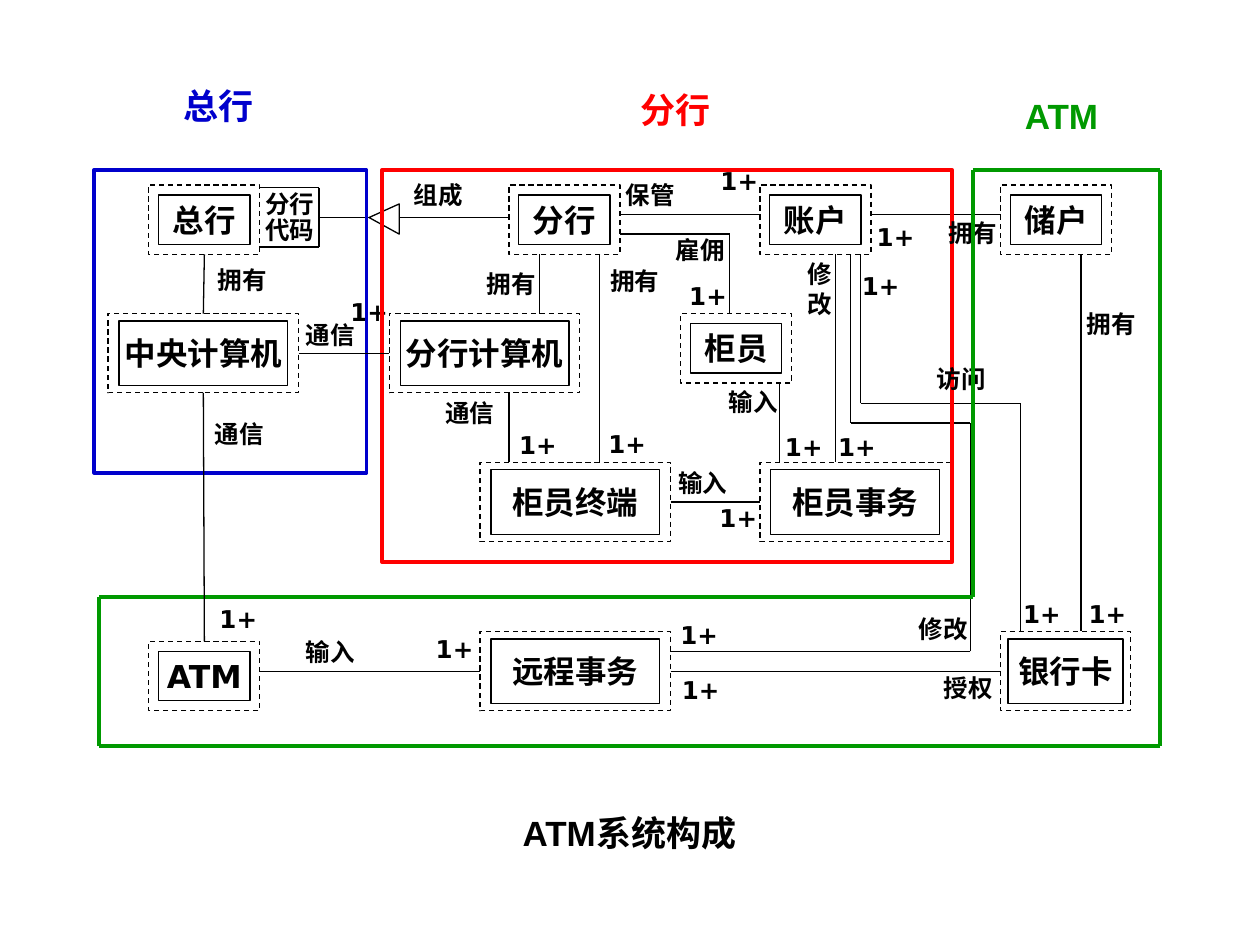
import itertools

import pptx
import pptx.dml.color
import pptx.enum.dml
import pptx.enum.shapes
import pptx.enum.text
import pptx.oxml
import pptx.oxml.ns
import pptx.util
from pptx.util import Cm

BLACK, BLUE, RED, GREEN = "000000", "0000CC", "FF0000", "009900"
LATIN, SANS, CJK = "Arial", "DejaVu Sans", "Noto Sans CJK SC"
TOP, LEFT, BOTTOM, RIGHT = range(4)
SHAPE = pptx.enum.shapes.MSO_SHAPE

# Entity sizes in cm: outer width, outer height, inset of the inner box (x, y)
SMALL = (2.24, 1.4, 0.2, 0.2)
WIDE = (3.84, 1.6, 0.22, 0.15)
CARD = (2.62, 1.6, 0.15, 0.15)


def colour(value):
    return pptx.dml.color.RGBColor.from_string(value)


def write(shape, lines, size, shade=BLACK, spacing=None):
    """Fill a shape with centred lines; each line is a list of (text, font)."""
    frame = shape.text_frame
    frame.auto_size = pptx.enum.text.MSO_AUTO_SIZE.NONE
    frame.word_wrap = False
    frame.vertical_anchor = pptx.enum.text.MSO_ANCHOR.MIDDLE
    frame.margin_left = frame.margin_right = frame.margin_top = frame.margin_bottom = 0
    for index, line in enumerate(lines):
        para = frame.add_paragraph() if index else frame.paragraphs[0]
        para.alignment = pptx.enum.text.PP_ALIGN.CENTER
        if spacing:
            para.line_spacing = spacing
        for text, font in line:
            span = para.add_run()
            span.text = text
            span.font.name = font
            span.font.size = pptx.util.Pt(size)
            span.font.bold = True
            span.font.color.rgb = colour(shade)
            east_asian = pptx.oxml.parse_xml(
                f'<a:ea {pptx.oxml.ns.nsdecls("a")} typeface="{CJK}"/>')
            span.font._element.find(pptx.oxml.ns.qn("a:latin")).addnext(east_asian)


class Region:
    """Places parts relative to a box given in cm."""

    def __init__(self, page, left, top, width, height):
        self.shapes = page.shapes
        self.left, self.top, self.width, self.height = left, top, width, height

    def at(self, x, y):
        return Cm(self.left + x), Cm(self.top + y)

    def outline(self, x, y, width, height, shade=BLACK, weight=0.75, kind=SHAPE.RECTANGLE):
        shape = self.shapes.add_shape(kind, *self.at(x, y), Cm(width), Cm(height))
        shape.shadow.inherit = False
        shape.fill.background()
        shape.line.color.rgb = colour(shade)
        shape.line.width = pptx.util.Pt(weight)
        return shape

    def entity(self, name, x, y, size):
        width, height, dx, dy = size
        inner = self.outline(x + dx, y + dy, width - 2 * dx, height - 2 * dy)
        write(inner, [[(name, SANS)]], 18)
        outer = self.outline(x, y, width, height)
        outer.line.dash_style = pptx.enum.dml.MSO_LINE.DASH
        return outer

    def text(self, x, y, width, height):
        return self.shapes.add_textbox(*self.at(x, y), Cm(width), Cm(height))

    def heading(self, name, x, y, shade, font=CJK):
        write(self.text(x, y, 2, 1.6), [[(name, font)]], 20, shade)

    def labels(self, *items):
        for name, x, y in items:
            size = (0.61, 0.61) if name == "1+" else (1.22, 0.81)
            write(self.text(x, y, *size), [[(name, SANS)]], 14)

    def line(self, *points, shade=BLACK, weight=0.75):
        """Draw straight segments through the points and return the last one."""
        for start, end in itertools.pairwise(points):
            segment = self.shapes.add_connector(
                pptx.enum.shapes.MSO_CONNECTOR.STRAIGHT, *self.at(*start), *self.at(*end))
            segment.line.color.rgb = colour(shade)
            segment.line.width = pptx.util.Pt(weight)
            segment._element.spPr.append(pptx.oxml.parse_xml(
                f'<a:effectLst {pptx.oxml.ns.nsdecls("a")}/>'))
        return segment

    def join(self, first, first_side, second, second_side):
        segment = self.line((0, 0), (1, 1))
        segment.begin_connect(first, first_side)
        segment.end_connect(second, second_side)


def head_office(region):
    office = region.entity("总行", 1.1, 0.3, SMALL)
    computer = region.entity("中央计算机", 0.28, 2.89, WIDE)
    region.join(office, BOTTOM, computer, TOP)
    # Branch code qualifier and aggregation mark
    code = region.text(3.13, 0.38, 1.63, 1.19)
    write(code, [[("分行", SANS)], [("代码", SANS)]], 14, spacing=0.9)
    region.line((3.33, 0.35), (4.53, 0.35), (4.53, 1.55), (3.33, 1.55))
    region.line((4.53, 0.96), (5.54, 0.96))
    mark = region.outline(5.54, 0.68, 0.61, 0.61, kind=SHAPE.ISOSCELES_TRIANGLE)
    mark.rotation = 270
    mark.adjustments[0] = 0.55
    region.labels(("拥有", 2.37, 1.8), ("通信", 4.15, 2.92), ("1+", 5.24, 2.54),
                  ("通信", 2.32, 4.9))
    region.outline(0, 0, region.width, region.height, BLUE, 2.25)
    region.heading("总行", 1.5, -2.11, BLUE)
    return computer


def branch(region):
    region.entity("分行", 2.56, 0.3, SMALL)
    computer = region.entity("分行计算机", 0.15, 2.89, WIDE)
    region.entity("账户", 7.62, 0.3, SMALL)
    region.entity("柜员", 6.02, 2.89, SMALL)
    terminal = region.entity("柜员终端", 1.98, 5.89, WIDE)
    transaction = region.entity("柜员事务", 7.62, 5.89, WIDE)
    region.join(terminal, RIGHT, transaction, LEFT)
    # Vertical links
    for x, start, end in ((3.17, 1.7, 2.89), (2.56, 4.49, 5.89), (4.39, 1.7, 5.89),
                          (8.02, 4.29, 5.89), (9.14, 1.7, 5.89)):
        region.line((x, start), (x, end))
    # Composition, custody and employment
    region.line((0.35, 0.96), (2.56, 0.96))
    region.line((4.8, 0.89), (7.62, 0.89))
    region.line((4.8, 1.29), (7.01, 1.29), (7.01, 2.89))
    # Account links that leave the branch: owner, remote transaction, bank card
    region.line((9.86, 0.89), (12.47, 0.89))
    region.line((9.45, 1.7), (9.45, 5.1), (11.86, 5.1), (11.86, 9.7), (5.81, 9.7))
    region.line((9.65, 1.7), (9.65, 4.7), (12.87, 4.7), (12.87, 9.3))
    region.labels(
        ("组成", 0.53, 0.1), ("拥有", 2, 1.88), ("保管", 4.8, 0.1), ("1+", 6.9, -0.1),
        ("1+", 10.05, 1.04), ("通信", 1.16, 4.49), ("1+", 2.84, 5.23),
        ("拥有", 4.49, 1.83), ("1+", 4.64, 5.21), ("雇佣", 5.81, 1.19),
        ("1+", 6.27, 2.23), ("输入", 5.86, 5.89), ("1+", 6.88, 6.7),
        ("输入", 6.88, 4.27), ("1+", 8.2, 5.28), ("1+", 9.27, 5.28), ("1+", 9.75, 2.03))
    write(region.text(8.53, 1.9, 0.61, 0.99), [[("修", SANS)], [("改", SANS)]], 14)
    region.outline(0, 0, region.width, region.height, RED, 2.25)
    region.heading("分行", 4.92, -2.03, RED)
    return computer


def atm_side(region):
    machine = region.entity("ATM", 1, 9.5, SMALL)
    remote = region.entity("远程事务", 7.68, 9.3, WIDE)
    region.entity("储户", 18.17, 0.3, SMALL)
    card = region.entity("银行卡", 18.17, 9.3, CARD)
    region.join(remote, RIGHT, card, LEFT)
    region.line((3.24, 10.1), (7.68, 10.1)).end_connect(remote, LEFT)
    region.line((19.79, 1.7), (19.79, 9.3))
    region.labels(
        ("1+", 2.5, 8.74), ("拥有", 17, 0.86), ("修改", 16.41, 8.84), ("1+", 11.79, 9.07),
        ("授权", 16.91, 10.03), ("1+", 11.82, 10.16), ("输入", 4.05, 9.3),
        ("1+", 6.86, 9.35), ("1+", 18.7, 8.64), ("1+", 20.02, 8.64),
        ("访问", 16.77, 3.79), ("拥有", 19.79, 2.69))
    # L-shaped border
    right, bottom, step_x, step_y = region.width, region.height, 17.61, 8.61
    region.line((0, step_y), (step_x, step_y), (step_x, 0), (right, 0), (right, bottom),
                (0, bottom), (0, step_y), shade=GREEN, weight=2.25)
    region.heading("ATM", 18.4, -1.91, GREEN, LATIN)
    return machine


def caption(page, left, top, width, height):
    title = page.shapes.title
    title.left, title.top, title.width, title.height = map(Cm, (left, top, width, height))
    write(title, [[("ATM", LATIN), ("系统构成", CJK)]], 20)


def main():
    deck = pptx.Presentation()
    deck.slide_width, deck.slide_height = Cm(25.4), Cm(19.05)
    page = deck.slides.add_slide(deck.slide_layouts[5])
    caption(page, 9.07, 16.13, 7.24, 1.3)
    head = Region(page, 1.9, 3.43, 5.49, 6.1)
    central = head_office(head)
    local = branch(Region(page, 7.7, 3.43, 11.5, 7.9))
    machine = atm_side(Region(page, 2, 3.43, 21.39, 11.61))
    # Links from the central computer to the other regions
    head.join(central, RIGHT, local, LEFT)
    head.join(central, BOTTOM, machine, TOP)
    deck.save("out.pptx")


if __name__ == "__main__":
    main()
